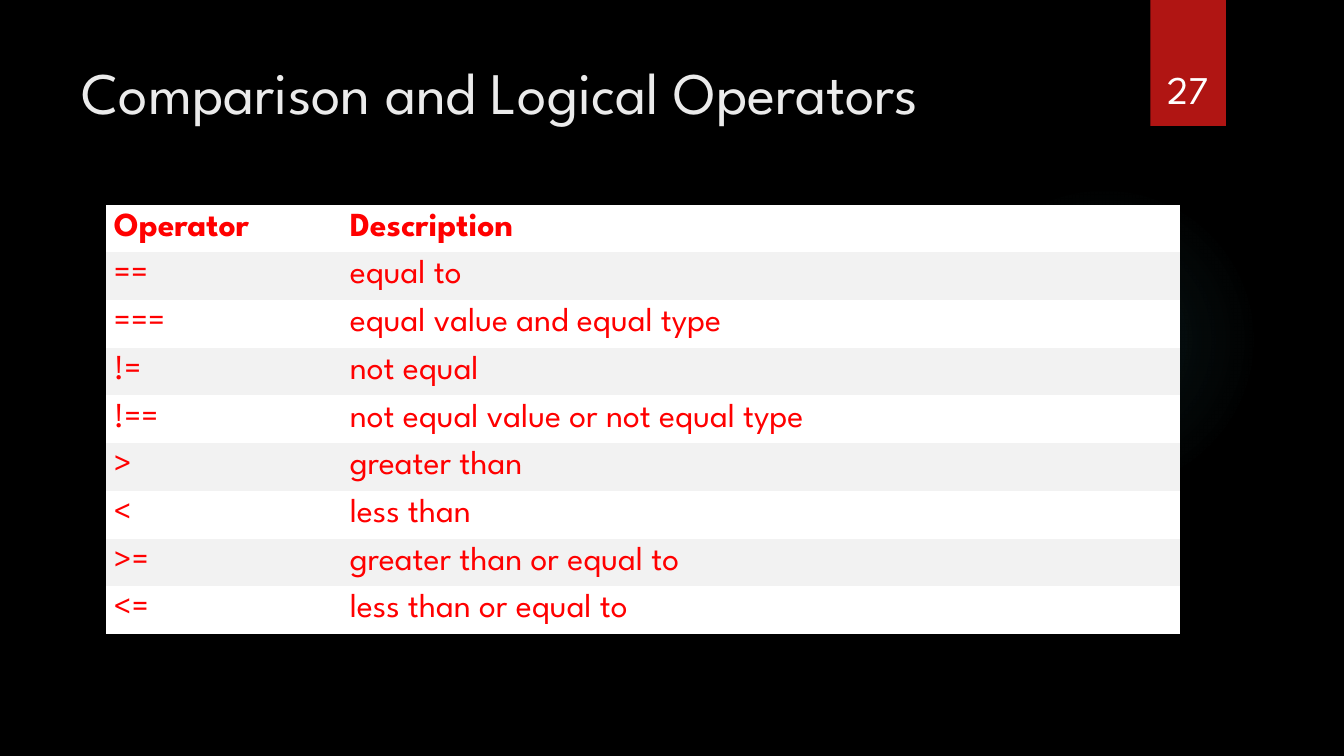
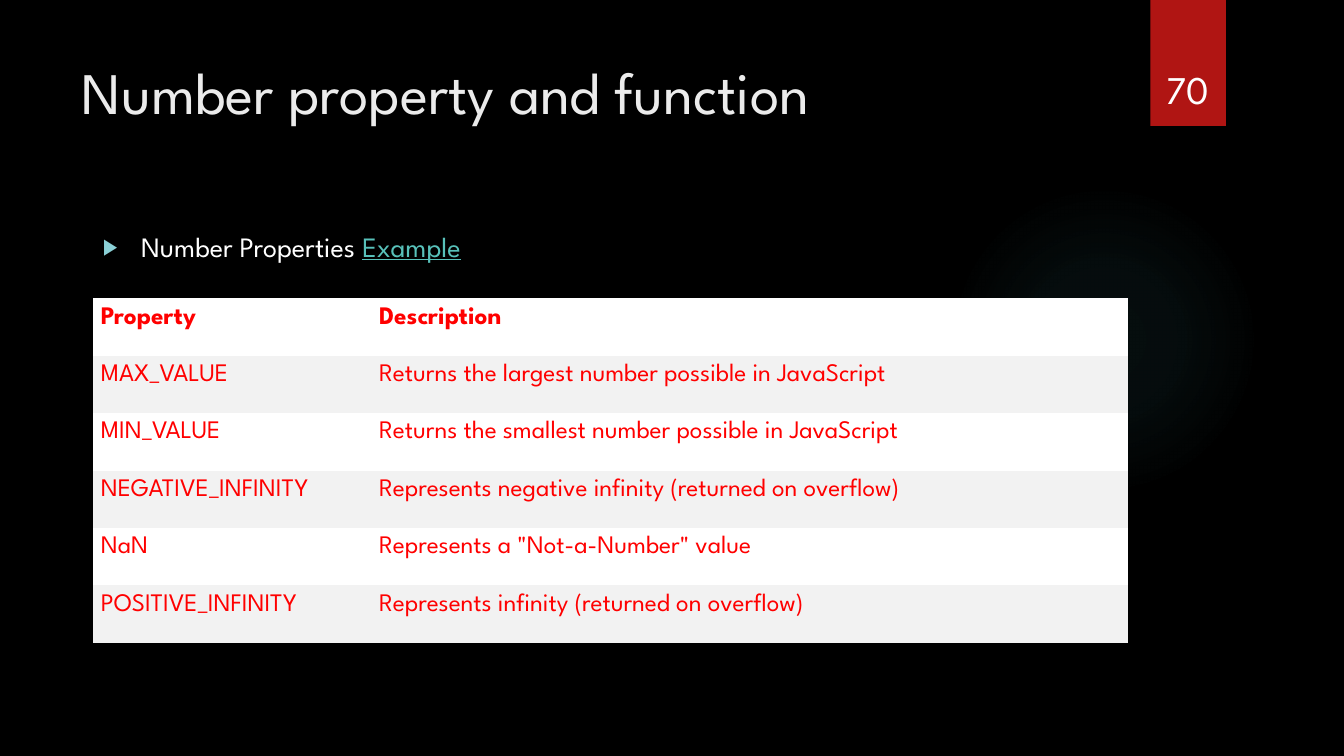
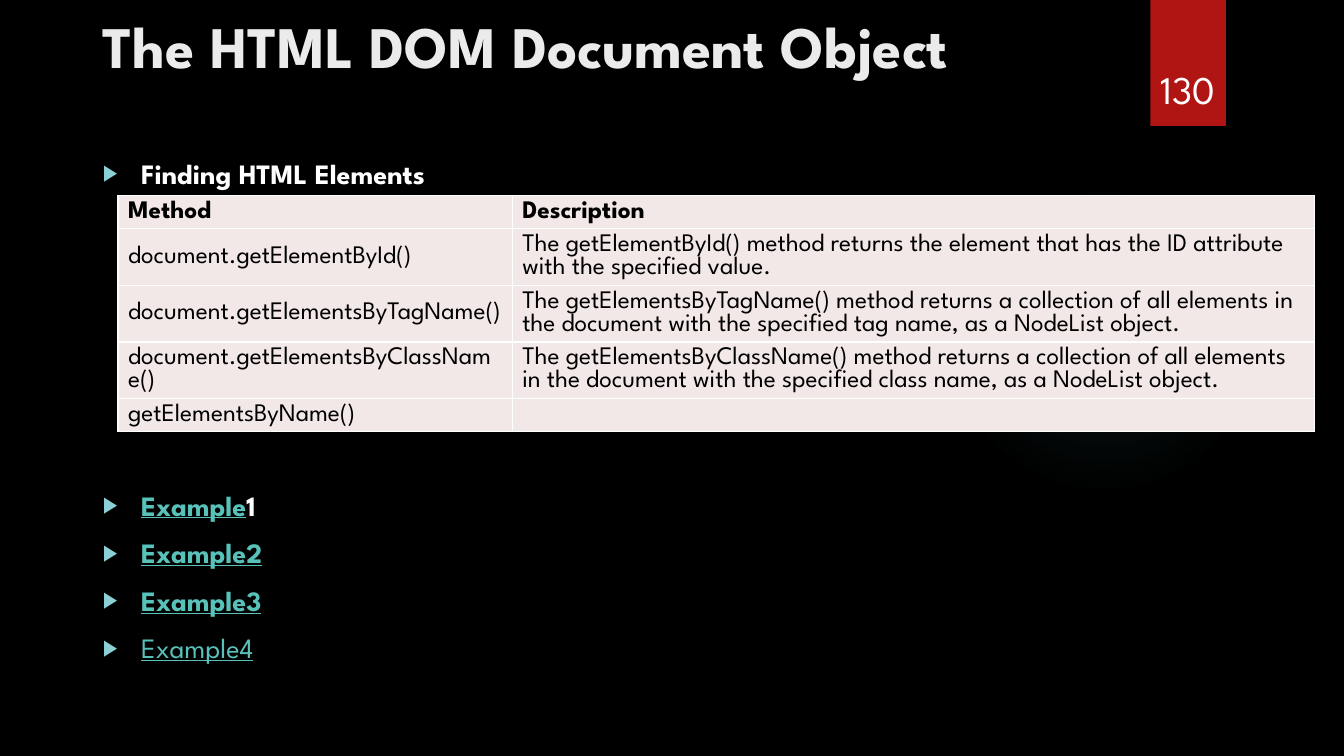
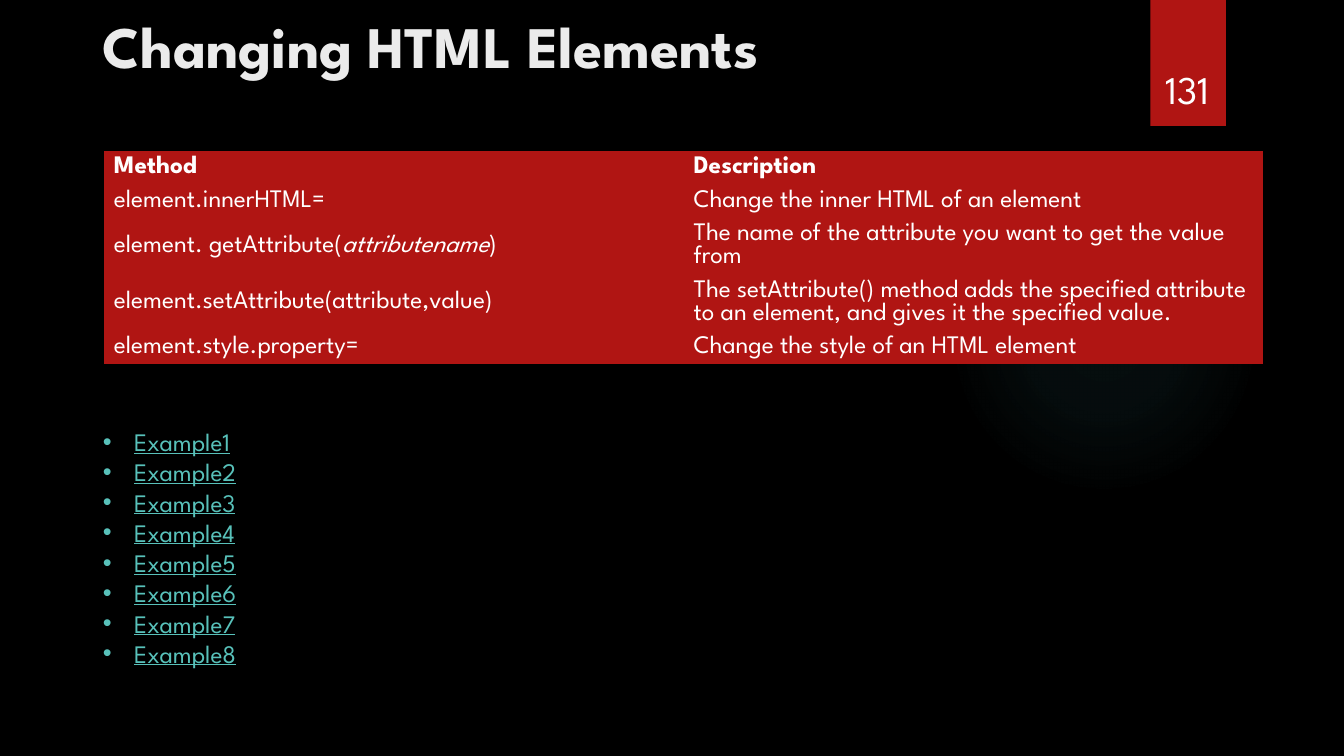
"""Builds four dark slides of script operators, properties and document methods."""
from dataclasses import dataclass
from typing import Optional

from lxml import etree
from pptx import Presentation
from pptx import util as u
from pptx.dml.color import RGBColor
from pptx.enum import shapes, text
from pptx.oxml import ns, parse_xml


@dataclass(frozen=True)
class Theme:
    font: str = "League Spartan"
    back: str = "000000"
    red: str = "B01513"
    glow: str = "50B9C1"
    title: str = "EBEBEB"
    white: str = "FFFFFF"
    black: str = "000000"
    gray: str = "F2F2F2"
    pink: str = "F2E8E7"
    hot: str = "FF0000"
    link: str = "58C1BA"
    mark: str = "8AD0D6"
    head: int = 42
    page: int = 28
    large: int = 24
    body: int = 20
    small: int = 18
    lead: float = 1.0


T = Theme()


@dataclass(frozen=True)
class Box:
    left: float
    top: float
    wide: float
    high: float

    def place(self) -> tuple:
        return tuple(u.Inches(n) for n in (self.left, self.top, self.wide, self.high))


@dataclass(frozen=True)
class Bit:
    text: str
    color: str = T.white
    bold: bool = False
    slant: bool = False
    under: bool = False


@dataclass(frozen=True)
class Item:
    bits: tuple
    gap: float = 0


@dataclass(frozen=True)
class Bullet:
    char: str
    color: str
    scale: int
    dent: float
    size: int


@dataclass(frozen=True)
class Grid:
    left: float
    top: float
    cols: tuple
    highs: tuple
    rows: tuple
    fills: tuple
    color: str
    size: int
    pad: Optional[float] = None
    edge: Optional[str] = None


@dataclass(frozen=True)
class Page:
    number: str
    title: str
    spot: Box
    grid: Grid
    bold: bool = False
    area: Optional[Box] = None
    items: tuple = ()
    bullet: Optional[Bullet] = None


HIGH = Box(0.92, 0.05, 11.5, 1.45)
LOW = Box(0.71, 0.5, 10.29, 1.53)
ARROW = Bullet("▶", T.mark, 80, 0.38, T.body)
DOT = Bullet("•", T.link, 100, 0.31, T.small)
LINE, PAIR = 0.33, 0.56


def link(word: str, bold: bool = False) -> Bit:
    return Bit(word, T.link, bold, under=True)


PAGES = (
    Page(
        "27", "Comparison and Logical Operators", LOW,
        Grid(1.05, 2.03, (2.34, 8.31), (4.26 / 9,) * 9, (
            ("Operator", "Description"),
            ("==", "equal to"),
            ("===", "equal value and equal type"),
            ("!=", "not equal"),
            ("!==", "not equal value or not equal type"),
            (">", "greater than"),
            ("<", "less than"),
            (">=", "greater than or equal to"),
            ("<=", "less than or equal to"),
        ), (T.white, T.gray), T.hot, T.large, 0.08),
    ),
    Page(
        "70", "Number property and function", LOW,
        Grid(0.92, 2.96, (2.76, 7.51), (0.57,) * 6, (
            ("Property", "Description"),
            ("MAX_VALUE", "Returns the largest number possible in JavaScript"),
            ("MIN_VALUE", "Returns the smallest number possible in JavaScript"),
            ("NEGATIVE_INFINITY", "Represents negative infinity (returned on overflow)"),
            ("NaN", 'Represents a "Not-a-Number" value'),
            ("POSITIVE_INFINITY", "Represents infinity (returned on overflow)"),
        ), (T.white, T.gray), T.hot, T.small, 0.08),
        area=Box(0.92, 2.23, 11.5, 4.59),
        items=(Item((Bit("Number Properties "), link("Example")), 10),),
        bullet=ARROW,
    ),
    Page(
        "130", "The HTML DOM Document Object", HIGH,
        Grid(1.17, 1.94, (3.91, 7.96), (LINE, PAIR, PAIR, PAIR, LINE), (
            ("Method", "Description"),
            ("document.getElementById()",
             "The getElementById() method returns the element that has the ID "
             "attribute with the specified value."),
            ("document.getElementsByTagName()",
             "The getElementsByTagName() method returns a collection of all elements "
             "in the document with the specified tag name, as a NodeList object."),
            ("document.getElementsByClassName()",
             "The getElementsByClassName() method returns a collection of all elements "
             "in the document with the specified class name, as a NodeList object."),
            ("getElementsByName()", ""),
        ), (T.pink,), T.black, T.small, edge=T.white),
        bold=True,
        area=Box(0.92, 1.5, 11.5, 5.45),
        items=(
            Item((Bit("Finding HTML Elements", bold=True),), 10),
            Item((link("Example", True), Bit("1", bold=True)), 213),
            Item((link("Example2", True),), 10),
            Item((link("Example3", True),), 10),
            Item((link("Example4"),), 10),
        ),
        bullet=ARROW,
    ),
    Page(
        "131", "Changing HTML Elements", HIGH,
        Grid(1.03, 1.5, (5.75, 5.75), (LINE, LINE, PAIR, PAIR, LINE), (
            ("Method", "Description"),
            ("element.innerHTML=", "Change the inner HTML of an element"),
            ((Bit("element. getAttribute("), Bit("attributename", slant=True), Bit(")")),
             "The name of the attribute you want to get the value from"),
            ("element.setAttribute(attribute,value)",
             "The setAttribute() method adds the specified attribute to an element, "
             "and gives it the specified value."),
            ("element.style.property=", "Change the style of an HTML element"),
        ), (T.red,), T.white, T.small),
        bold=True,
        area=Box(0.92, 4.18, 11.61, 2.52),
        items=tuple(Item((link(f"Example{n}"),)) for n in range(1, 9)),
        bullet=DOT,
    ),
)


def write(para, bits: tuple, size: int) -> None:
    for bit in bits:
        run = para.add_run()
        run.text = bit.text
        font = run.font
        font.name, font.size = T.font, u.Pt(size)
        font.bold, font.italic, font.underline = bit.bold, bit.slant, bit.under
        font.color.rgb = RGBColor.from_string(bit.color)


def move(shape, box: Box) -> None:
    shape.left, shape.top, shape.width, shape.height = box.place()


def frame(shape, anchor):
    body = shape.text_frame
    body.word_wrap = True
    body.auto_size = text.MSO_AUTO_SIZE.NONE
    body.vertical_anchor = anchor
    return body


def head(slide, page: Page) -> None:
    shape = slide.shapes.title
    move(shape, page.spot)
    para = frame(shape, text.MSO_ANCHOR.TOP).paragraphs[0]
    para.alignment, para.line_spacing = text.PP_ALIGN.LEFT, T.lead
    write(para, (Bit(page.title, T.title, page.bold),), T.head)


def count(slide, number: str) -> None:
    shape = slide.shapes.add_textbox(*Box(11.32, 0.32, 0.92, 0.84).place())
    para = frame(shape, text.MSO_ANCHOR.BOTTOM).paragraphs[0]
    para.alignment = text.PP_ALIGN.CENTER
    write(para, (Bit(number),), T.page)


def mark(para, bullet: Bullet) -> None:
    props = para._p.get_or_add_pPr()
    dent = u.Inches(bullet.dent)
    props.set("marL", str(dent))
    props.set("indent", str(-dent))
    color = etree.SubElement(props, ns.qn("a:buClr"))
    etree.SubElement(color, ns.qn("a:srgbClr"), val=bullet.color)
    etree.SubElement(props, ns.qn("a:buSzPct"), val=str(bullet.scale * 1000))
    etree.SubElement(props, ns.qn("a:buChar"), char=bullet.char)


def items(slide, page: Page) -> None:
    shape = slide.placeholders[1]
    move(shape, page.area)
    body = frame(shape, text.MSO_ANCHOR.TOP)
    for n, item in enumerate(page.items):
        para = body.add_paragraph() if n else body.paragraphs[0]
        para.line_spacing, para.space_before = T.lead, u.Pt(item.gap)
        mark(para, page.bullet)
        write(para, item.bits, page.bullet.size)


def rule(cell, color: str) -> None:
    props = cell._tc.get_or_add_tcPr()
    for n, side in enumerate(("lnL", "lnR", "lnT", "lnB")):
        line = etree.Element(ns.qn(f"a:{side}"), w=str(u.Pt(1)))
        fill = etree.SubElement(line, ns.qn("a:solidFill"))
        etree.SubElement(fill, ns.qn("a:srgbClr"), val=color)
        props.insert(n, line)


def fill(cell, value, grid: Grid, row: int) -> None:
    cell.fill.solid()
    cell.fill.fore_color.rgb = RGBColor.from_string(grid.fills[row % len(grid.fills)])
    if grid.pad is None:
        cell.vertical_anchor = text.MSO_ANCHOR.MIDDLE
    else:
        pad = u.Inches(grid.pad)
        cell.margin_left = cell.margin_right = cell.margin_top = cell.margin_bottom = pad
    if grid.edge:
        rule(cell, grid.edge)
    para = cell.text_frame.paragraphs[0]
    if not value:
        etree.SubElement(para._p, ns.qn("a:endParaRPr"), sz="1200")
        return
    bits = (Bit(value, grid.color, row == 0),) if isinstance(value, str) else value
    write(para, bits, grid.size)


def table(slide, grid: Grid) -> None:
    box = Box(grid.left, grid.top, sum(grid.cols), sum(grid.highs))
    shape = slide.shapes.add_table(len(grid.rows), len(grid.cols), *box.place())
    style = next(shape.element.iter(ns.qn("a:tableStyleId")))
    style.text = "{2D5ABB26-0587-4C30-8999-92F81FD0307C}"
    tab = shape.table
    tab.first_row = tab.horz_banding = False
    for col, wide in zip(tab.columns, grid.cols):
        col.width = u.Inches(wide)
    for n, values in enumerate(grid.rows):
        tab.rows[n].height = u.Inches(grid.highs[n])
        for m, value in enumerate(values):
            fill(tab.cell(n, m), value, grid, n)


def plain(slide, kind, box: Box):
    shape = slide.shapes.add_shape(kind, *box.place())
    shape.shadow.inherit = False
    shape.line.fill.background()
    return shape


def haze(shape) -> None:
    stops = "".join(
        f'<a:gs pos="{pos}000"><a:srgbClr val="{T.glow}">'
        f'<a:alpha val="{alpha}000"/></a:srgbClr></a:gs>'
        for pos, alpha in ((0, 7), (36, 6), (69, 0), (100, 0))
    )
    grad = parse_xml(
        f'<a:gradFill {ns.nsdecls("a")} rotWithShape="1"><a:gsLst>{stops}</a:gsLst>'
        '<a:path path="circle"><a:fillToRect l="50000" t="50000" r="50000" b="50000"/>'
        "</a:path></a:gradFill>"
    )
    shape.fill.background()
    props = shape.element.spPr
    props.replace(props.find(ns.qn("a:noFill")), grad)


def base(master, slide) -> None:
    back = master.background.fill
    back.solid()
    back.fore_color.rgb = RGBColor.from_string(T.back)
    glow = plain(slide, shapes.MSO_SHAPE.OVAL, Box(9.41, 1.83, 3.08, 3.08))
    haze(glow)
    band = plain(slide, shapes.MSO_SHAPE.RECTANGLE, Box(11.41, 0, 0.75, 1.25))
    band.fill.solid()
    band.fill.fore_color.rgb = RGBColor.from_string(T.red)
    for n, shape in enumerate((glow, band), 2):
        master.shapes.element.insert(n, shape.element)


def main() -> None:
    deck = Presentation()
    deck.slide_width, deck.slide_height = u.Inches(13.33), u.Inches(7.5)
    for n, page in enumerate(PAGES):
        slide = deck.slides.add_slide(deck.slide_layouts[1 if page.items else 5])
        if n == 0:
            base(deck.slide_master, slide)
        head(slide, page)
        if page.items:
            items(slide, page)
        table(slide, page.grid)
        count(slide, page.number)
    deck.save("out.pptx")


if __name__ == "__main__":
    main()
